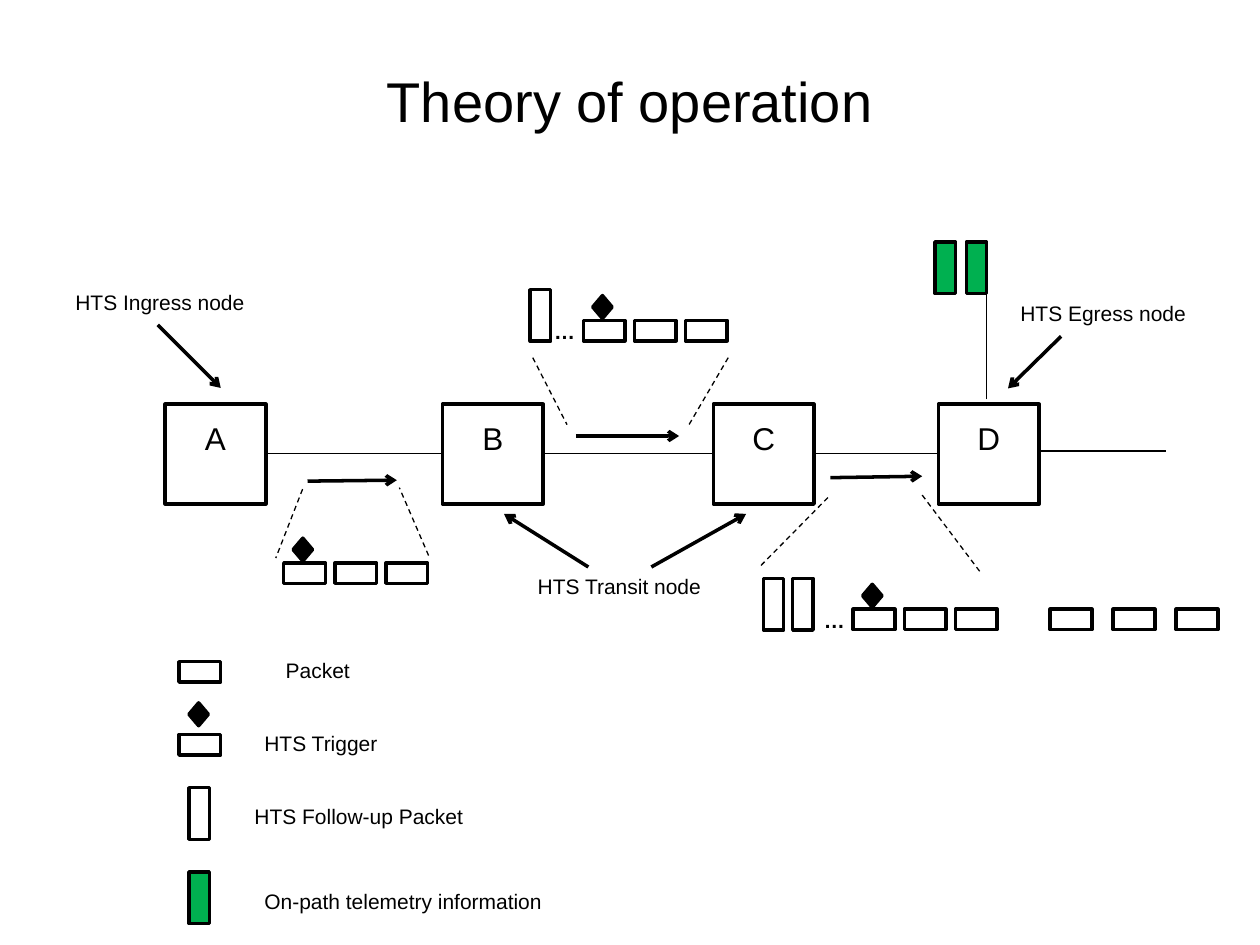
from lxml.etree import SubElement
from pptx import Presentation
from pptx.dml.color import RGBColor
from pptx.enum.dml import MSO_LINE
from pptx.enum.shapes import MSO_CONNECTOR, MSO_SHAPE
from pptx.enum.text import MSO_ANCHOR, PP_ALIGN
from pptx.oxml.ns import qn
from pptx.util import Cm, Pt

COLORS = {"ink": "000000", "telemetry": "00B050"}
FONT = "Arial"
PACKET = (0.84, 0.41)
TRIGGER = (0.39, 0.46)
FOLLOW_UP = (0.41, 1.04)
NODE = (2.03, 2.01)

deck = Presentation()
deck.slide_width, deck.slide_height = Cm(25.4), Cm(19.05)
slide = deck.slides.add_slide(deck.slide_layouts[6])


def color(name):
    return RGBColor.from_string(COLORS[name])


def write(paragraph, words, size, bold=False):
    run = paragraph.add_run()
    run.text = words
    run.font.name, run.font.size, run.font.bold = FONT, Pt(size), bold
    run.font.color.rgb = color("ink")


def label(left, top, width, words, height=0.76, size=12, bold=False, align=PP_ALIGN.LEFT):
    frame = slide.shapes.add_textbox(Cm(left), Cm(top), Cm(width), Cm(height)).text_frame
    frame.word_wrap = True
    frame.vertical_anchor = MSO_ANCHOR.MIDDLE
    frame.paragraphs[0].alignment = align
    write(frame.paragraphs[0], words, size, bold)


def block(left, top, size, fill=None, kind=MSO_SHAPE.FLOWCHART_PROCESS):
    outline = slide.shapes.add_shape(kind, Cm(left), Cm(top), Cm(size[0]), Cm(size[1]))
    outline.shadow.inherit = False
    if fill:
        outline.fill.solid()
        outline.fill.fore_color.rgb = color(fill)
    else:
        outline.fill.background()
    outline.line.color.rgb = color("ink")
    outline.line.width = Pt(2)
    return outline


def trigger(left, top):
    block(left, top, TRIGGER, "ink", MSO_SHAPE.FLOWCHART_DECISION)


def link(left, top, ends, width=0.75, dashed=False, arrow=False):
    x1, y1, x2, y2 = ends
    path_line = slide.shapes.add_connector(
        MSO_CONNECTOR.STRAIGHT, Cm(left + x1), Cm(top + y1), Cm(left + x2), Cm(top + y2))
    path_line.line.color.rgb = color("ink")
    path_line.line.width = Pt(width)
    if dashed:
        path_line.line.dash_style = MSO_LINE.DASH
    if arrow:
        SubElement(path_line.line._get_or_add_ln(), qn("a:tailEnd"), type="arrow")
    SubElement(path_line._element.spPr, qn("a:effectLst"))


def node(left, top, name):
    frame = block(left, top, NODE).text_frame
    frame.vertical_anchor = MSO_ANCHOR.TOP
    frame.margin_top = Cm(0.3)
    frame.paragraphs[0].alignment = PP_ALIGN.CENTER
    write(frame.paragraphs[0], name, 18)


def chain(left, top):
    starts = (0, 5.59, 11.05, 15.59)
    middle = 0.99
    for start, following in zip(starts, starts[1:]):
        link(left, top, (start + NODE[0], middle, following, middle))
    link(left, top, (starts[-1] + NODE[0], 0.94, 20.17, 0.94))
    for name, start in zip("ABCD", starts):
        node(left + start, top, name)


def packet_row(left, top, pitch):
    for index in range(3):
        block(left + index * pitch, top, PACKET)


def packet_train(left, top, flow, guides, follow_ups=()):
    packet_row(left, top, 1.03)
    trigger(left + 0.19, top - 0.5)
    for offset in follow_ups:
        block(left + offset, top - 0.62, FOLLOW_UP)
    if follow_ups:
        label(left - 0.84, top - 0.16, 0.84, "…", bold=True)
    link(left, top, flow, width=2, arrow=True)
    for guide in guides:
        link(left, top, guide, dashed=True)


def role(left, top, width, words, arrows):
    label(left, top, width, words)
    for arrow in arrows:
        link(left, top, arrow, width=2, arrow=True)


def telemetry_export(left, top):
    for offset in (0, 0.63):
        block(left + offset, top, FOLLOW_UP, "telemetry")
    link(left, top, (1.04, 3.17, 1.04, 1.04))


def legend(left, top):
    block(left, top + 0.21, PACKET)
    block(left, top + 1.68, PACKET)
    trigger(left + 0.2, top + 1.04)
    block(left + 0.2, top + 2.75, FOLLOW_UP)
    block(left + 0.2, top + 4.45, FOLLOW_UP, "telemetry")
    for x, y, width, words in (
        (1.9, 0, 1.88, "Packet"),
        (1.47, 1.48, 4.9, "HTS Trigger"),
        (1.27, 2.95, 4.9, "HTS Follow-up Packet"),
        (1.47, 4.65, 7.19, "On-path telemetry information"),
    ):
        label(left + x, top + y, width, words)


label(1.27, 0.43, 22.86, "Theory of operation", height=3.18, size=32, align=PP_ALIGN.CENTER)
chain(3.33, 8.15)
packet_train(5.72, 11.35, (0.48, -1.65, 2.28, -1.67),
             [(0.38, -1.49, -0.16, -0.1), (2.92, -0.15, 2.33, -1.52)])
packet_train(11.76, 6.46, (-0.15, 2.33, 1.93, 2.33),
             [(-1.02, 0.75, -0.33, 2.1), (2.92, 0.75, 2.13, 2.1)], [-1.07])
packet_train(17.2, 12.28, (-0.46, -2.65, 1.39, -2.68),
             [(-1.86, -0.88, -0.46, -2.3), (1.39, -2.3, 2.56, -0.75)], [-1.22, -1.81])
packet_row(21.17, 12.28, 1.27)
role(1.27, 5.72, 4.9, "HTS Ingress node", [(1.91, 0.83, 3.18, 2.1)])
role(20.32, 5.93, 4.01, "HTS Egress node", [(1.07, 0.85, 0, 1.9)])
role(10.59, 11.43, 4.01, "HTS Transit node",
     [(1.27, 0, -0.43, -1.07), (2.54, 0, 4.45, -1.07)])
telemetry_export(18.85, 4.88)
legend(3.61, 13.13)
deck.save("out.pptx")
